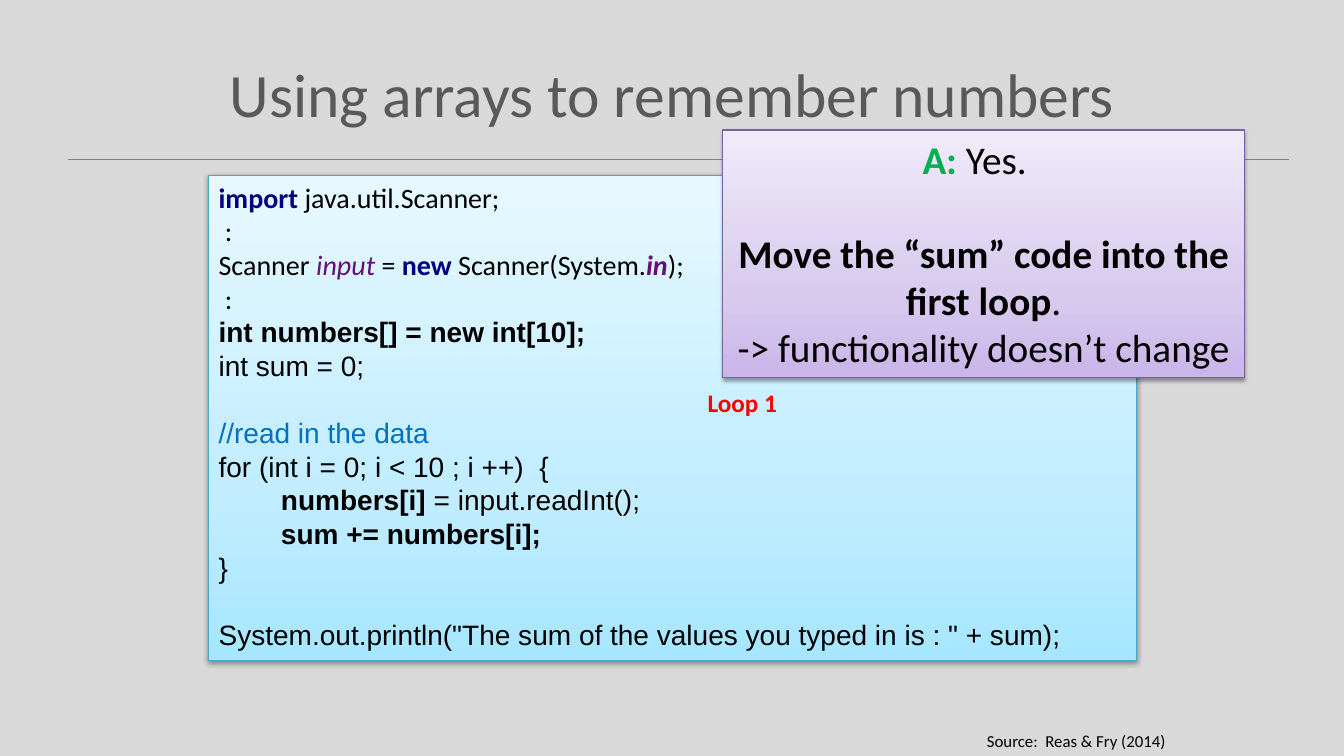
from copy import deepcopy
from dataclasses import dataclass

from lxml import etree
from pptx import Presentation
from pptx import util as u
from pptx.dml.color import RGBColor
from pptx.enum import shapes, text
from pptx.oxml.ns import qn


@dataclass(frozen=True)
class Theme:
    body: str = "Calibri"
    code: str = "Arial"
    back: str = "D9D9D9"
    rule: str = "808080"
    heading: str = "595959"
    black: str = "000000"
    keyword: str = "000080"
    field: str = "660E7A"
    comment: str = "0070C0"
    answer: str = "00B050"
    label: str = "FF0000"
    blue: tuple = ("A7E6FF", "C1EDFF", "E7F8FF")
    blue_edge: str = "46AAC5"
    purple: tuple = ("C9B5E8", "D8CBEE", "F0EAF9")
    purple_edge: str = "7D60A0"
    stops: tuple = (0, 0.35, 1)
    title_size: int = 44
    answer_size: int = 28
    code_size: int = 20
    label_size: int = 18
    source_size: int = 12
    code_line: int = 24
    answer_line: int = 34


T = Theme()

# Content: a line is a list of (text, style, colour); None is an empty line
TITLE = [[("Using arrays to remember numbers", "", T.heading)]]
IMPORTS = [
    [("import ", "b", T.keyword), ("java.util.Scanner;", "", T.black)],
    [(" :", "", T.black)],
    [("Scanner ", "", T.black), ("input ", "i", T.field), ("= ", "", T.black),
     ("new ", "b", T.keyword), ("Scanner(System.", "", T.black),
     ("in", "bi", T.field), (");", "", T.black)],
    [(" :", "", T.black)],
]
PROGRAM = [
    [("int numbers[] = new int[10];", "b", T.black)],
    [("int sum = 0;", "", T.black)],
    None,
    [("//read in the data", "", T.comment)],
    [("for (int i = 0; i < 10 ; i ++)  {", "", T.black)],
    [("        ", "", T.black), ("numbers[i] ", "b", T.black),
     ("= input.readInt();", "", T.black)],
    [("        ", "", T.black), ("sum += numbers[i];", "b", T.black)],
    [("}", "", T.black)],
    None,
    [('System.out.println("The sum of the values you typed in is : " + sum);',
      "", T.black)],
]
ANSWER = [
    [("A: ", "b", T.answer), ("Yes.  ", "", T.black)],
    None,
    [("Move the “sum” code into the first loop", "b", T.black),
     (".", "", T.black)],
    [("-> functionality doesn’t change", "", T.black)],
]
LOOP = [[("Loop 1", "b", T.label)]]
SOURCE = [[("Source:  Reas & Fry (2014)", "", T.black)]]

# Grid: left, top, width, height in columns and rows
COLS, ROWS = 133.3, 75
TITLE_AT = (6.7, 3, 120, 12.5)
RULE_AT = (6.7, 15.8, 121.1, 0)
CODE_AT = (20.7, 17.4, 92, 48.1)
ANSWER_AT = (71.7, 12.9, 51.7, 24.6)
LOOP_AT = (69.2, 37.9, 8.9, 7.1)
SOURCE_AT = (55.8, 72, 60.8, 3)

prs = Presentation()
prs.slide_width, prs.slide_height = u.Inches(13.33), u.Inches(7.5)
slide = prs.slides.add_slide(prs.slide_layouts[6])


def place(at):
    cell_w, cell_h = prs.slide_width / COLS, prs.slide_height / ROWS
    return [round(n * cell) for n, cell in zip(at, (cell_w, cell_h) * 2)]


def rgb(value):
    return RGBColor.from_string(value)


def write(tf, lines, size, font=T.body, align=text.PP_ALIGN.LEFT, pitch=None,
          fixed=False):
    """Add the lines; an empty one becomes space before the next."""
    gap = 0
    for line in lines:
        if line is None:
            gap += pitch
            continue
        p = tf.paragraphs[0]
        if p.runs:
            p = tf.add_paragraph()
        p.alignment = align
        p.space_before = u.Pt(gap)
        if fixed:
            p.line_spacing = u.Pt(pitch)
        gap = 0
        for words, style, colour in line:
            r = p.add_run()
            r.text = words
            r.font.name, r.font.size = font, u.Pt(size)
            r.font.bold, r.font.italic = "b" in style, "i" in style
            r.font.color.rgb = rgb(colour)


def text_box(at, lines, size, wrap=True, anchor=text.MSO_ANCHOR.TOP, **kw):
    tf = slide.shapes.add_textbox(*place(at)).text_frame
    tf.word_wrap, tf.vertical_anchor = wrap, anchor
    write(tf, lines, size, **kw)


def panel(at, colours, edge):
    """A rectangle with an upward gradient and a soft shadow."""
    s = slide.shapes.add_shape(shapes.MSO_SHAPE.RECTANGLE, *place(at))
    s.fill.gradient()
    s.fill.gradient_angle = 90
    stops = s._element.spPr.find(".//" + qn("a:gsLst"))
    stops.append(deepcopy(stops[0]))
    for stop, share, colour in zip(s.fill.gradient_stops, T.stops, colours):
        stop.position, stop.color.rgb = share, rgb(colour)
    s.line.color.rgb, s.line.width = rgb(edge), u.Pt(0.75)
    s.shadow.inherit = False
    effects = s._element.spPr.find(qn("a:effectLst"))
    shadow = etree.SubElement(
        effects, qn("a:outerShdw"), blurRad=str(u.Pt(3.1)),
        dist=str(u.Pt(1.6)), dir="5400000", rotWithShape="0")
    black = etree.SubElement(shadow, qn("a:srgbClr"), val=T.black)
    etree.SubElement(black, qn("a:alpha"), val="38000")
    tf = s.text_frame
    tf.word_wrap, tf.vertical_anchor = True, text.MSO_ANCHOR.TOP
    return tf


# Background, rule and title
slide.background.fill.solid()
slide.background.fill.fore_color.rgb = rgb(T.back)
x, y, w, h = place(RULE_AT)
rule = slide.shapes.add_connector(
    shapes.MSO_CONNECTOR.STRAIGHT, x, y, x + w, y + h)
rule.line.color.rgb, rule.line.width = rgb(T.rule), u.Pt(1)
etree.SubElement(rule._element.spPr, qn("a:effectLst"))
text_box(TITLE_AT, TITLE, T.title_size, anchor=text.MSO_ANCHOR.MIDDLE,
         align=text.PP_ALIGN.CENTER)

# Code panel
tf = panel(CODE_AT, T.blue, T.blue_edge)
for lines, font in ((IMPORTS, T.body), (PROGRAM, T.code)):
    write(tf, lines, T.code_size, font, pitch=T.code_line, fixed=True)

# Source, answer panel and loop label
text_box(SOURCE_AT, SOURCE, T.source_size, align=text.PP_ALIGN.RIGHT)
write(panel(ANSWER_AT, T.purple, T.purple_edge), ANSWER, T.answer_size,
      align=text.PP_ALIGN.CENTER, pitch=T.answer_line)
text_box(LOOP_AT, LOOP, T.label_size, wrap=False)

prs.save("out.pptx")
